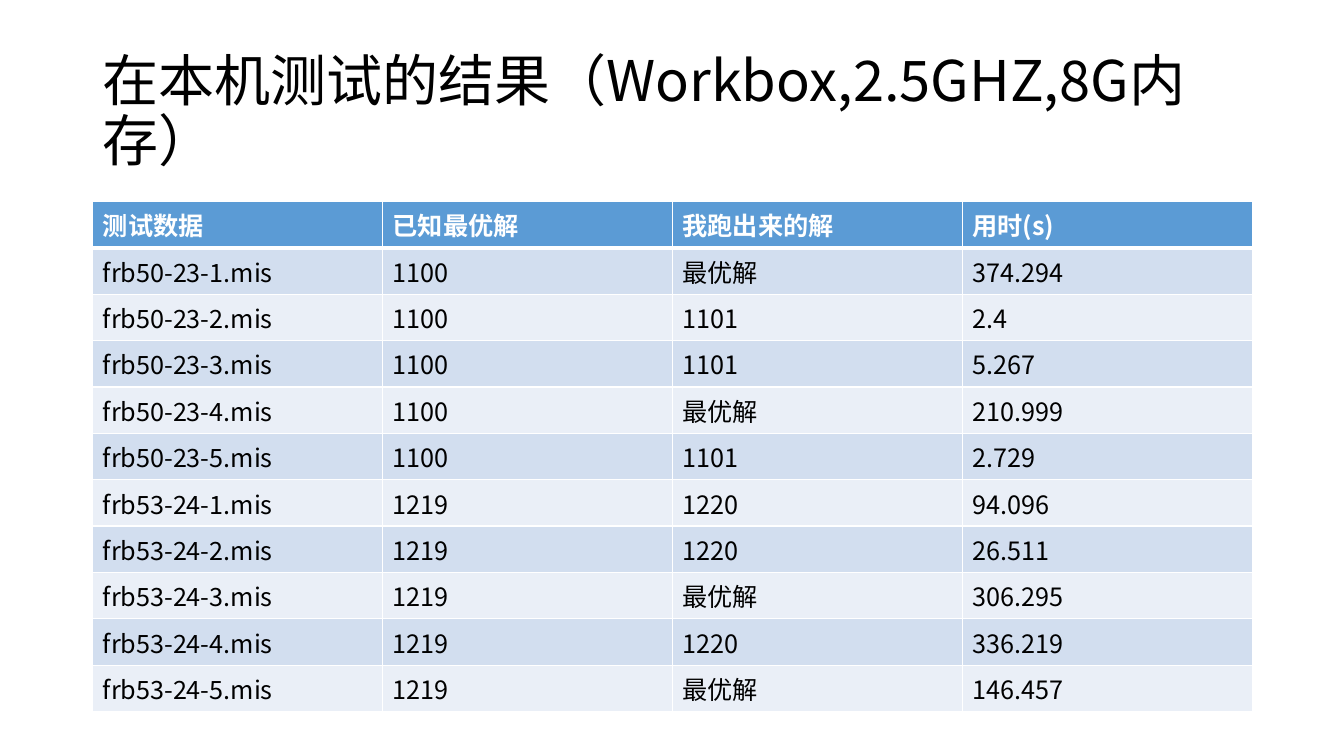
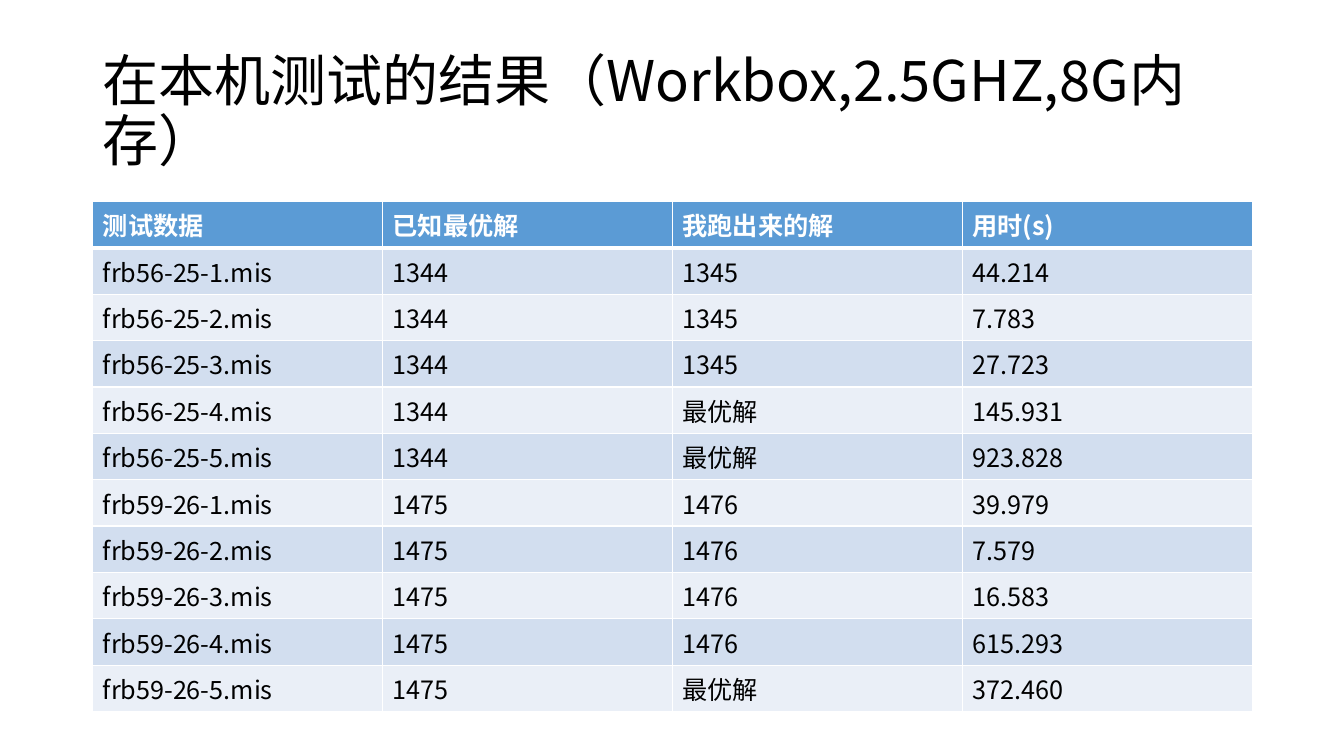
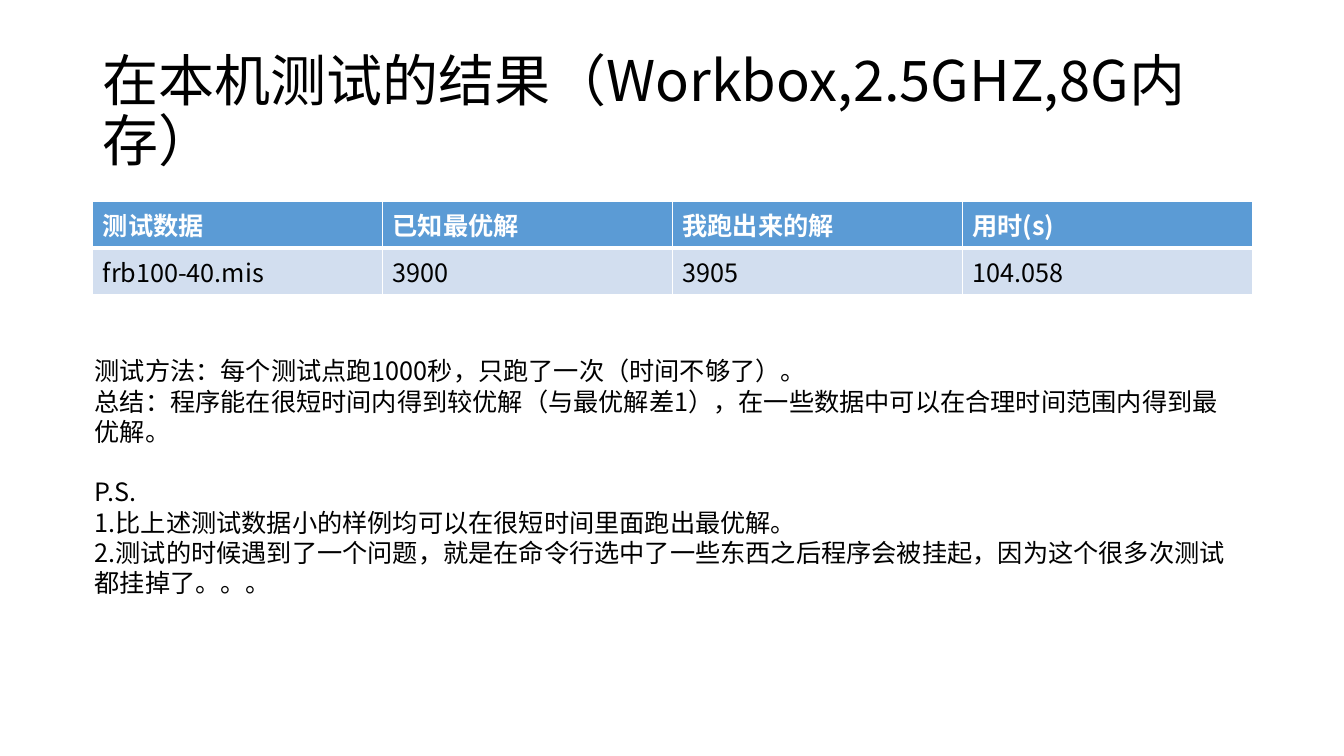
from dataclasses import dataclass

from lxml import etree
from pptx import Presentation
from pptx.dml.color import RGBColor
from pptx.enum import text as text_enum
from pptx.oxml import ns
from pptx.util import Inches, Pt


@dataclass(frozen=True)
class Theme:
    """Colours, type sizes and borders shared by the slides."""
    font: str = "Noto Sans CJK SC"
    ink: str = "000000"
    paper: str = "FFFFFF"
    header: str = "5B9BD5"
    bands: tuple = ("D2DEEF", "EAEFF7")
    title_size: int = 40
    body_size: int = 18
    border: int = 1
    header_border: int = 3


THEME = Theme()
TITLE = "在本机测试的结果（Workbox,2.5GHZ,8G内存）"
HEADINGS = ("测试数据", "已知最优解", "我跑出来的解", "用时(s)")
BEST = "最优解"
TITLE_BOX = (0.92, 0.4, 11.5, 1.45)
TABLE_BOX = (0.92, 2, 11.5)
NOTES_BOX = (0.84, 3.48, 11.43, 2.52)
ROW_HEIGHT = 0.46

FIRST_RESULTS = [
    ("frb50-23-1.mis", "1100", BEST, "374.294"),
    ("frb50-23-2.mis", "1100", "1101", "2.4"),
    ("frb50-23-3.mis", "1100", "1101", "5.267"),
    ("frb50-23-4.mis", "1100", BEST, "210.999"),
    ("frb50-23-5.mis", "1100", "1101", "2.729"),
    ("frb53-24-1.mis", "1219", "1220", "94.096"),
    ("frb53-24-2.mis", "1219", "1220", "26.511"),
    ("frb53-24-3.mis", "1219", BEST, "306.295"),
    ("frb53-24-4.mis", "1219", "1220", "336.219"),
    ("frb53-24-5.mis", "1219", BEST, "146.457"),
]
SECOND_RESULTS = [
    ("frb56-25-1.mis", "1344", "1345", "44.214"),
    ("frb56-25-2.mis", "1344", "1345", "7.783"),
    ("frb56-25-3.mis", "1344", "1345", "27.723"),
    ("frb56-25-4.mis", "1344", BEST, "145.931"),
    ("frb56-25-5.mis", "1344", BEST, "923.828"),
    ("frb59-26-1.mis", "1475", "1476", "39.979"),
    ("frb59-26-2.mis", "1475", "1476", "7.579"),
    ("frb59-26-3.mis", "1475", "1476", "16.583"),
    ("frb59-26-4.mis", "1475", "1476", "615.293"),
    ("frb59-26-5.mis", "1475", BEST, "372.460"),
]
LARGE_RESULTS = [("frb100-40.mis", "3900", "3905", "104.058")]
SUMMARY = [
    "测试方法：每个测试点跑1000秒，只跑了一次（时间不够了）。",
    "总结：程序能在很短时间内得到较优解（与最优解差1），在一些数据中可以在合理时间范围内得到最优解。",
]
POSTSCRIPT = [
    "P.S.",
    "1.比上述测试数据小的样例均可以在很短时间里面跑出最优解。",
    "2.测试的时候遇到了一个问题，就是在命令行选中了一些东西之后程序会被挂起，因为这个很多次测试都挂掉了。。。",
]


def write(paragraph, content, size, color=THEME.ink, bold=False):
    """Fill a paragraph and format its runs for Latin and Chinese text."""
    paragraph.text = content
    for run in paragraph.runs:
        run.font.size = Pt(size)
        run.font.bold = bold
        run.font.color.rgb = RGBColor.from_string(color)
        run.font.name = THEME.font
        properties = run._r.get_or_add_rPr()
        etree.SubElement(properties, ns.qn("a:ea"), typeface=THEME.font)


def add_text_frame(slide, box):
    """Add a wrapping text box and return its text frame."""
    shape = slide.shapes.add_textbox(*map(Inches, box))
    shape.text_frame.word_wrap = True
    return shape.text_frame


def add_title(slide, box):
    """Add the shared slide title."""
    frame = add_text_frame(slide, box)
    frame.vertical_anchor = text_enum.MSO_ANCHOR.MIDDLE
    paragraph = frame.paragraphs[0]
    write(paragraph, TITLE, THEME.title_size)
    paragraph.line_spacing = 0.9


def set_borders(cell, bottom):
    """Draw the borders of a cell, with its own bottom width."""
    properties = cell._tc.get_or_add_tcPr()
    widths = dict.fromkeys(("lnL", "lnR", "lnT"), THEME.border) | {"lnB": bottom}
    for side, width in widths.items():
        line = etree.SubElement(properties, ns.qn(f"a:{side}"), w=str(Pt(width)))
        fill = etree.SubElement(line, ns.qn("a:solidFill"))
        etree.SubElement(fill, ns.qn("a:srgbClr"), val=THEME.paper)


def style_cell(cell, content, fill, color, bold, bottom):
    """Write one table cell with its borders and fill."""
    write(cell.text_frame.paragraphs[0], content, THEME.body_size, color, bold)
    set_borders(cell, bottom)
    cell.fill.solid()
    cell.fill.fore_color.rgb = RGBColor.from_string(fill)


def add_results(slide, box, results):
    """Add a banded results table with equal columns."""
    left, top, width = box
    rows = [HEADINGS, *results]
    table = slide.shapes.add_table(
        len(rows), len(HEADINGS), Inches(left), Inches(top),
        Inches(width), Inches(ROW_HEIGHT * len(rows))).table
    for index, values in enumerate(rows):
        if index == 0:
            style = (THEME.header, THEME.paper, True, THEME.header_border)
        else:
            band = THEME.bands[(index - 1) % len(THEME.bands)]
            style = (band, THEME.ink, False, THEME.border)
        for column, content in enumerate(values):
            style_cell(table.cell(index, column), content, *style)


def add_notes(slide, box):
    """Add the summary and, one line below it, the postscript."""
    frame = add_text_frame(slide, box)
    lines = SUMMARY + POSTSCRIPT
    for index, content in enumerate(lines):
        paragraph = frame.paragraphs[0] if index == 0 else frame.add_paragraph()
        write(paragraph, content, THEME.body_size)
        if index == len(SUMMARY):
            paragraph.space_before = Pt(THEME.body_size * 1.2)


def add_results_slide(presentation, results):
    """Add a slide with the shared title and a results table."""
    slide = presentation.slides.add_slide(presentation.slide_layouts[6])
    add_title(slide, TITLE_BOX)
    add_results(slide, TABLE_BOX, results)
    return slide


def main():
    """Build the three slides and save them."""
    presentation = Presentation()
    presentation.slide_width = Inches(13.33)
    presentation.slide_height = Inches(7.5)
    for results in (FIRST_RESULTS, SECOND_RESULTS):
        add_results_slide(presentation, results)
    add_notes(add_results_slide(presentation, LARGE_RESULTS), NOTES_BOX)
    presentation.save("out.pptx")


main()
